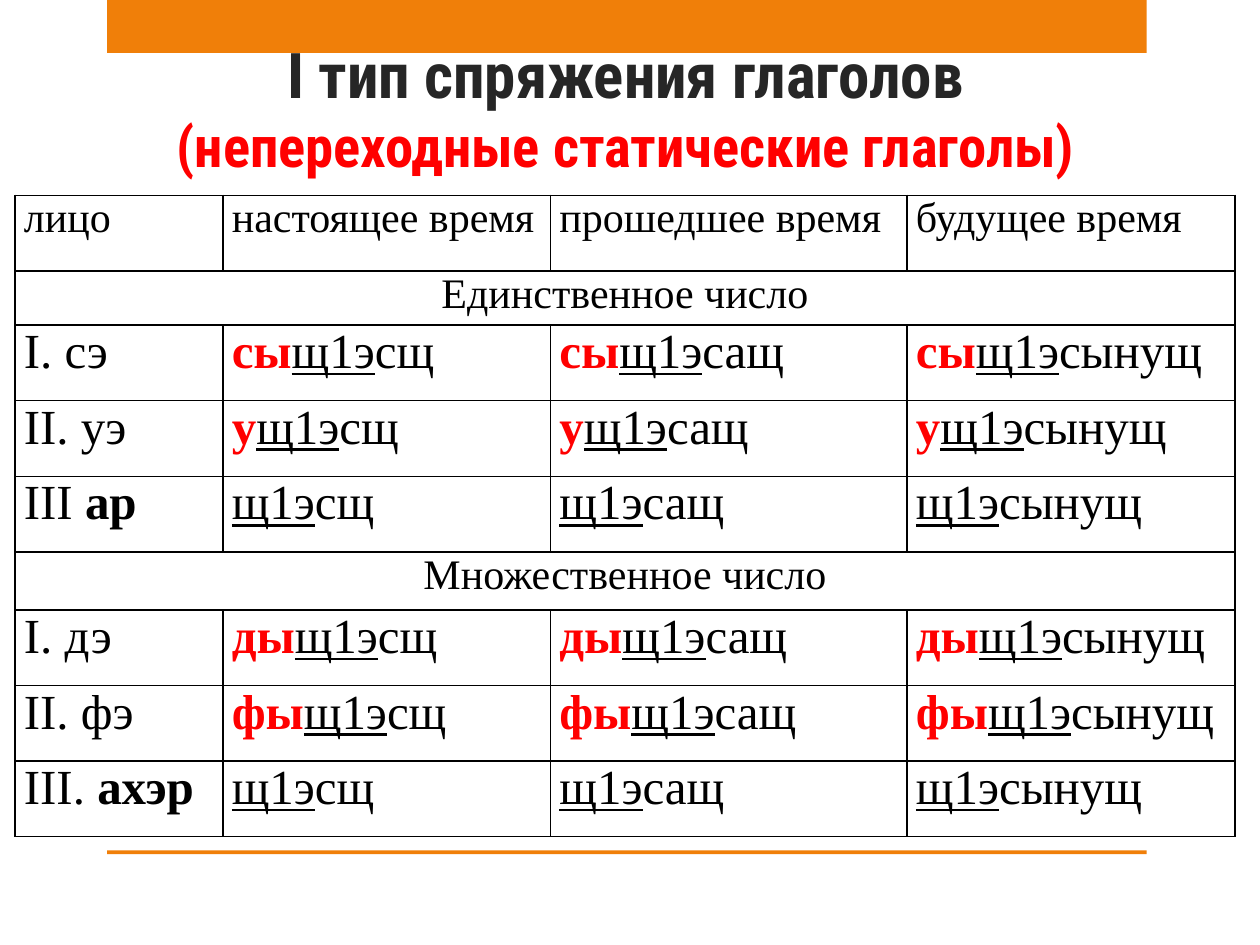
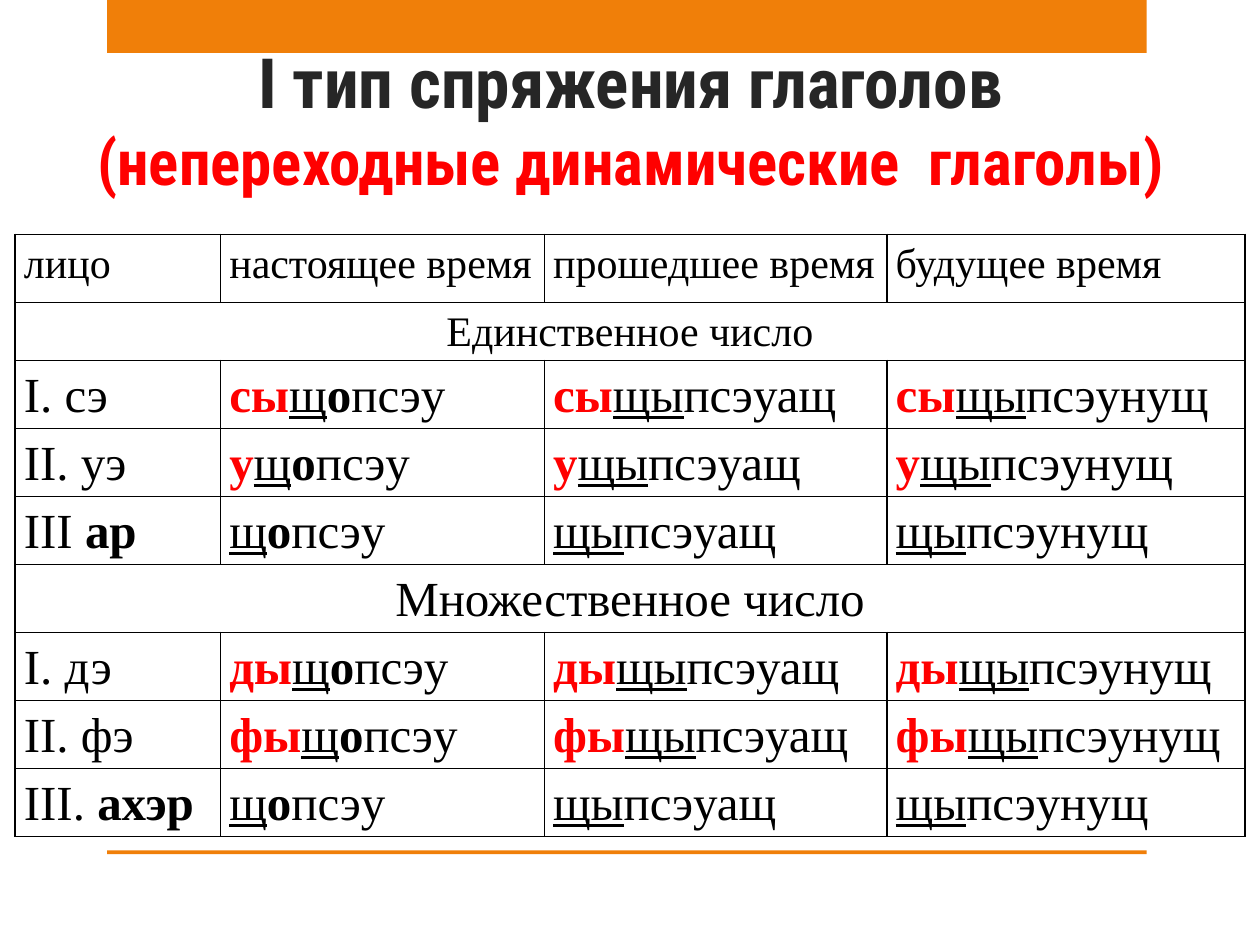
from dataclasses import dataclass

from lxml import etree
from pptx import Presentation
from pptx.dml.color import RGBColor
from pptx.enum.shapes import MSO_SHAPE
from pptx.enum.text import MSO_ANCHOR, PP_ALIGN
from pptx.oxml.ns import qn
from pptx.util import Inches, Pt

RECT = MSO_SHAPE.RECTANGLE
TOP, BOTTOM = MSO_ANCHOR.TOP, MSO_ANCHOR.BOTTOM
CENTER, JUSTIFY = PP_ALIGN.CENTER, PP_ALIGN.JUSTIFY

ORANGE = RGBColor(0xF0, 0x7F, 0x09)
DARK = RGBColor(0x26, 0x26, 0x26)
RED = RGBColor(0xFF, 0x00, 0x00)
BLACK = RGBColor(0x00, 0x00, 0x00)
TITLE_FONT, TABLE_FONT = "Roboto Condensed", "Times New Roman"

# Slide grid: 100 columns by 75 rows
WIDTH, HEIGHT = Inches(10), Inches(7.5)
COL, ROW = WIDTH // 100, HEIGHT // 75

HEAD_SIZE, FORM_SIZE = 24, 28
HEADINGS = ["лицо", "настоящее время", "прошедшее время", "будущее время"]
PLURAL_ROW = 5


@dataclass(frozen=True)
class Run:
    text: str
    bold: bool = False
    underline: bool = False
    color: RGBColor = BLACK


@dataclass(frozen=True)
class Person:
    label: str
    pronoun: str = ""
    prefix: str = ""


@dataclass(frozen=True)
class Tense:
    stem: str
    ending: str
    vowel: str = ""


@dataclass(frozen=True)
class Box:
    """Left, top, width and height in grid columns and rows."""
    left: float
    top: float
    width: float
    height: float

    def place(self) -> tuple[int, int, int, int]:
        return (round(self.left * COL), round(self.top * ROW),
                round(self.width * COL), round(self.height * ROW))


@dataclass(frozen=True)
class Conjugation:
    subtitle: str
    title_box: Box
    title_size: float
    subtitle_size: float
    table_top: float
    cols: list[float]
    rows: list[float]
    plural_size: int
    line_spacing: float
    tenses: list[Tense]


BANDS = [Box(8.5, 0, 82.5, 4.2), Box(8.5, 67.5, 82.5, 0.3)]

SINGULAR = [Person("I. сэ", prefix="сы"), Person("II. уэ", prefix="у"),
            Person("III ", "ар")]
PLURAL = [Person("I. дэ", prefix="ды"), Person("II. фэ", prefix="фы"),
          Person("III. ", "ахэр")]

SLIDES = [
    Conjugation(
        "(непереходные статические глаголы)", Box(2, 2.9, 95.3, 11.8), 36, 32.4,
        15.5, [16.5, 26, 28.3, 26], [6, 4.3, 6, 6, 6, 4.6, 6, 6, 6], HEAD_SIZE, 1.0,
        [Tense("щ1э", "сщ"), Tense("щ1э", "сащ"), Tense("щ1э", "сынущ")]),
    Conjugation(
        "(непереходные динамические  глаголы)", Box(2, 3.6, 96.1, 12.6), 39.6, 36,
        18.6, [16.3, 25.7, 27.2, 28.4], [5.4, 4.5] + [5.4] * 7, FORM_SIZE, 1.15,
        [Tense("щ", "псэу", "о"), Tense("щы", "псэуащ"), Tense("щы", "псэунущ")]),
]


def add_run(p, run: Run, size: float, font: str) -> None:
    r = p.add_run()
    r.text = run.text
    r.font.name, r.font.size = font, Pt(size)
    r.font.bold, r.font.underline = run.bold, run.underline
    r.font.color.rgb = run.color


def add_bands(s) -> None:
    for band in BANDS:
        sp = s.shapes.add_shape(RECT, *band.place())
        sp.shadow.inherit = False
        sp.fill.solid()
        sp.fill.fore_color.rgb = ORANGE
        sp.line.fill.background()


def add_title(s, c: Conjugation) -> None:
    tf = s.shapes.add_textbox(*c.title_box.place()).text_frame
    tf.word_wrap = True
    tf.vertical_anchor = BOTTOM
    p = tf.paragraphs[0]
    p.alignment = CENTER
    add_run(p, Run("I тип спряжения глаголов", True, color=DARK), c.title_size, TITLE_FONT)
    p.add_line_break()
    add_run(p, Run(c.subtitle, True, color=RED), c.subtitle_size, TITLE_FONT)


def frame_cell(cell) -> None:
    """Thin black borders, no fill, narrow side margins."""
    cell.margin_left = cell.margin_right = Inches(0.07)
    cell.margin_top = cell.margin_bottom = 0
    cell.vertical_anchor = TOP
    tc_pr = cell._tc.get_or_add_tcPr()
    for side in ("a:lnL", "a:lnR", "a:lnT", "a:lnB"):
        ln = etree.SubElement(tc_pr, qn(side), w=str(Pt(1)))
        fill = etree.SubElement(ln, qn("a:solidFill"))
        etree.SubElement(fill, qn("a:srgbClr"), val=str(BLACK))
    cell.fill.background()


def fill_cell(cell, runs: list[Run], size: int, spacing: float, align=JUSTIFY) -> None:
    p = cell.text_frame.paragraphs[0]
    p.alignment = align
    p.line_spacing = spacing
    for run in runs:
        add_run(p, run, size, TABLE_FONT)


def label_runs(person: Person) -> list[Run]:
    runs = [Run(person.label), Run(person.pronoun, bold=True)]
    return [run for run in runs if run.text]


def form_runs(person: Person, tense: Tense) -> list[Run]:
    runs = [Run(person.prefix, bold=True, color=RED), Run(tense.stem, underline=True),
            Run(tense.vowel, bold=True), Run(tense.ending)]
    return [run for run in runs if run.text]


def add_conjugation_table(s, c: Conjugation) -> None:
    box = Box(1.2, c.table_top, sum(c.cols), sum(c.rows))
    table = s.shapes.add_table(len(c.rows), len(c.cols), *box.place()).table
    table.first_row = table.horz_banding = False
    for column, width in zip(table.columns, c.cols):
        column.width = round(width * COL)
    for row, height in zip(table.rows, c.rows):
        row.height = round(height * ROW)
    for cell in table.iter_cells():
        frame_cell(cell)

    for j, heading in enumerate(HEADINGS):
        fill_cell(table.cell(0, j), [Run(heading)], HEAD_SIZE, c.line_spacing)

    # Each number: a merged heading row, then its three persons
    groups = [(1, "Единственное число", HEAD_SIZE, SINGULAR),
              (PLURAL_ROW, "Множественное число", c.plural_size, PLURAL)]
    for top, number, size, persons in groups:
        table.cell(top, 0).merge(table.cell(top, len(c.cols) - 1))
        fill_cell(table.cell(top, 0), [Run(number)], size, c.line_spacing, CENTER)
        for i, person in enumerate(persons, top + 1):
            contents = [label_runs(person)] + [form_runs(person, t) for t in c.tenses]
            for j, runs in enumerate(contents):
                fill_cell(table.cell(i, j), runs, FORM_SIZE, c.line_spacing)

    # Hanging indent of the first plural person
    p_pr = table.cell(PLURAL_ROW + 1, 0).text_frame.paragraphs[0]._p.get_or_add_pPr()
    p_pr.set("marL", str(Inches(0.25)))
    p_pr.set("indent", str(-Inches(0.25)))


def main() -> None:
    prs = Presentation()
    prs.slide_width, prs.slide_height = WIDTH, HEIGHT
    for conjugation in SLIDES:
        s = prs.slides.add_slide(prs.slide_layouts[6])
        add_bands(s)
        add_title(s, conjugation)
        add_conjugation_table(s, conjugation)
    prs.save("out.pptx")


if __name__ == "__main__":
    main()
